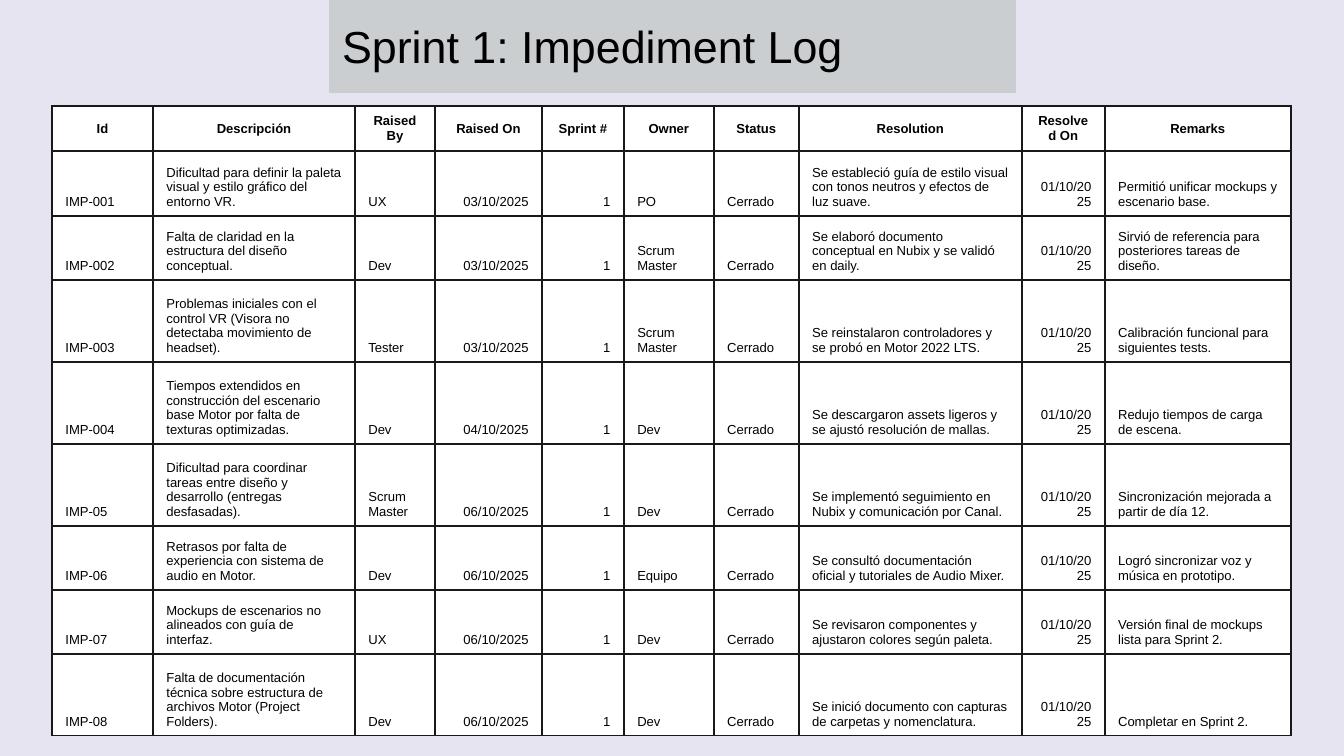
from lxml import etree
from pptx import Presentation
from pptx.dml.color import RGBColor
from pptx.enum.text import MSO_ANCHOR, MSO_AUTO_SIZE, PP_ALIGN
from pptx.oxml.ns import qn
from pptx.util import Pt

LEFT, MID, RIGHT = PP_ALIGN.LEFT, PP_ALIGN.CENTER, PP_ALIGN.RIGHT
CENTRE, BASE = MSO_ANCHOR.MIDDLE, MSO_ANCHOR.BOTTOM
SCALE = 914400 / 134.4


def px(n):
    return round(n * SCALE)


def write(frame, text, size=7, bold=False, align=LEFT, color="000000"):
    par = frame.paragraphs[0]
    par.alignment = align
    run = par.add_run()
    run.text = text
    run.font.name = "Arial"
    run.font.size = Pt(size)
    run.font.bold = bold
    run.font.color.rgb = RGBColor.from_string(color)


prs = Presentation()
prs.slide_width, prs.slide_height = px(1344), px(756)
slide = prs.slides.add_slide(prs.slide_layouts[5])
back = slide.background.fill
back.solid()
back.fore_color.rgb = RGBColor.from_string("E7E4F1")

title = slide.shapes.title
title.left, title.top, title.width, title.height = px(329), px(-1), px(687), px(94)
title.fill.solid()
title.fill.fore_color.rgb = RGBColor.from_string("C4C9CA")
tint = title.fill._xPr.find(qn("a:solidFill"))[0]
etree.SubElement(tint, qn("a:alpha"), val="80000")
frame = title.text_frame
frame.word_wrap = True
frame.auto_size = MSO_AUTO_SIZE.NONE
frame.vertical_anchor = CENTRE
frame.margin_left = frame.margin_right = px(13)
frame.margin_top = frame.margin_bottom = px(13)
write(frame, "Sprint 1: Impediment Log", size=24)

heads = ["Id", "Descripción", "Raised By", "Raised On", "Sprint #", "Owner",
         "Status", "Resolution", "Resolved On", "Remarks"]
issues = [
    ("IMP-001", "Dificultad para definir la paleta visual y estilo gráfico del entorno VR.",
     "UX", "03/10/2025", "PO",
     "Se estableció guía de estilo visual con tonos neutros y efectos de luz suave.",
     "Permitió unificar mockups y escenario base."),
    ("IMP-002", "Falta de claridad en la estructura del diseño conceptual.",
     "Dev", "03/10/2025", "Scrum Master",
     "Se elaboró documento conceptual en Nubix y se validó en daily.",
     "Sirvió de referencia para posteriores tareas de diseño."),
    ("IMP-003",
     "Problemas iniciales con el control VR (Visora no detectaba movimiento de headset).",
     "Tester", "03/10/2025", "Scrum Master",
     "Se reinstalaron controladores y se probó en Motor 2022 LTS.",
     "Calibración funcional para siguientes tests."),
    ("IMP-004",
     "Tiempos extendidos en construcción del escenario base Motor por falta de texturas optimizadas.",
     "Dev", "04/10/2025", "Dev",
     "Se descargaron assets ligeros y se ajustó resolución de mallas.",
     "Redujo tiempos de carga de escena."),
    ("IMP-05",
     "Dificultad para coordinar tareas entre diseño y desarrollo (entregas desfasadas).",
     "Scrum Master", "06/10/2025", "Dev",
     "Se implementó seguimiento en Nubix y comunicación por Canal.",
     "Sincronización mejorada a partir de día 12."),
    ("IMP-06", "Retrasos por falta de experiencia con sistema de audio en Motor.",
     "Dev", "06/10/2025", "Equipo",
     "Se consultó documentación oficial y tutoriales de Audio Mixer.",
     "Logró sincronizar voz y música en prototipo."),
    ("IMP-07", "Mockups de escenarios no alineados con guía de interfaz.",
     "UX", "06/10/2025", "Dev",
     "Se revisaron componentes y ajustaron colores según paleta.",
     "Versión final de mockups lista para Sprint 2."),
    ("IMP-08",
     "Falta de documentación técnica sobre estructura de archivos Motor (Project Folders).",
     "Dev", "06/10/2025", "Dev",
     "Se inició documento con capturas de carpetas y nomenclatura.",
     "Completar en Sprint 2."),
]
rows = [heads]
for code, issue, who, date, owner, fix, note in issues:
    rows.append([code, issue, who, date, "1", owner, "Cerrado", fix, "01/10/2025", note])

widths = [101, 202, 80, 107, 82, 90, 85, 223, 83, 186]
heights = [45, 65, 64, 82, 82, 82, 64, 64, 82]
grid = slide.shapes.add_table(len(rows), len(heads), px(52), px(106),
                              px(sum(widths)), px(sum(heights))).table
grid.first_row = grid.horz_banding = False
for col, width in zip(grid.columns, widths):
    col.width = px(width)
for row, height in zip(grid.rows, heights):
    row.height = px(height)

for r, row in enumerate(rows):
    for c, text in enumerate(row):
        cell = grid.cell(r, c)
        cell.vertical_anchor = BASE if r else CENTRE
        align = MID if r == 0 else RIGHT if c in (3, 4, 8) else LEFT
        write(cell.text_frame, text, bold=r == 0, align=align)
        props = cell._tc.get_or_add_tcPr()
        for side in ("lnL", "lnR", "lnT", "lnB"):
            line = etree.SubElement(props, qn("a:" + side), w=str(Pt(1)))
            paint = etree.SubElement(line, qn("a:solidFill"))
            ink = etree.SubElement(paint, qn("a:srgbClr"), val="191919")
            etree.SubElement(ink, qn("a:alpha"), val="58000")
            etree.SubElement(line, qn("a:prstDash"), val="solid")
        cell.fill.solid()
        cell.fill.fore_color.rgb = RGBColor.from_string("FFFFFF")

prs.save("out.pptx")
